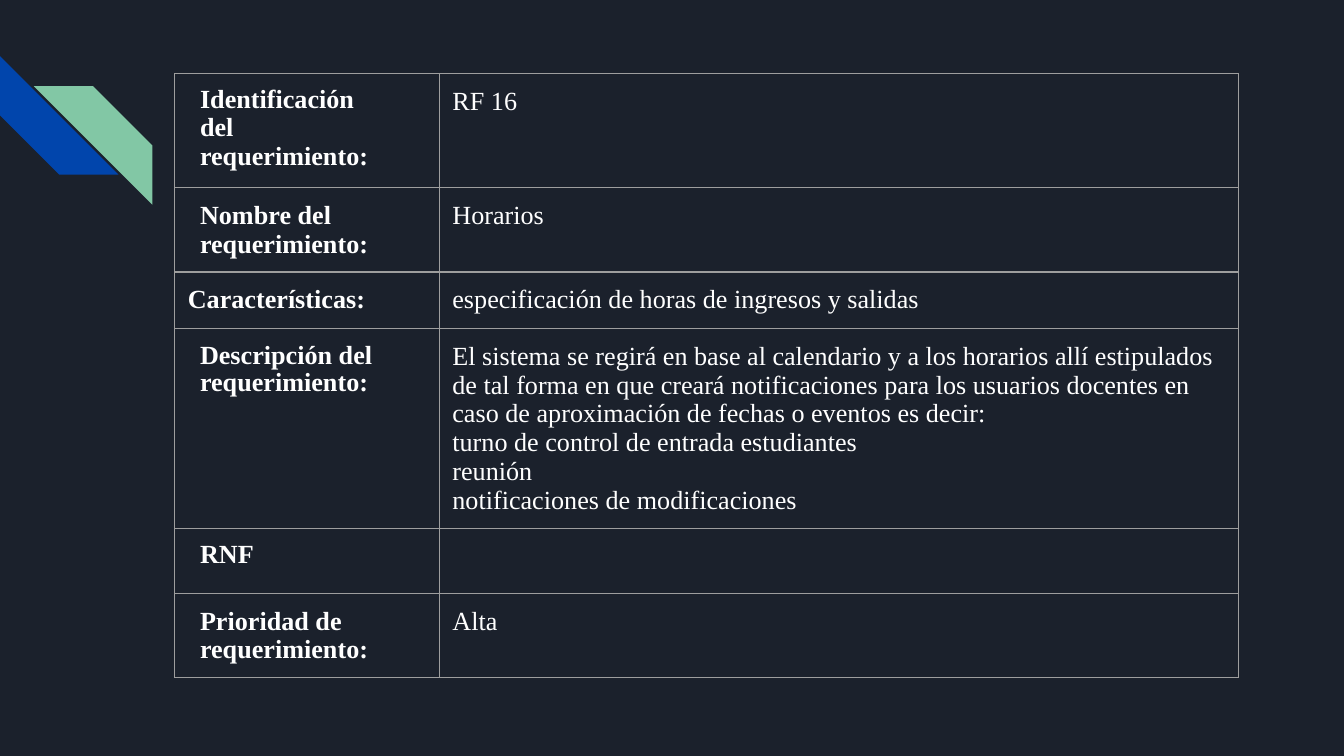
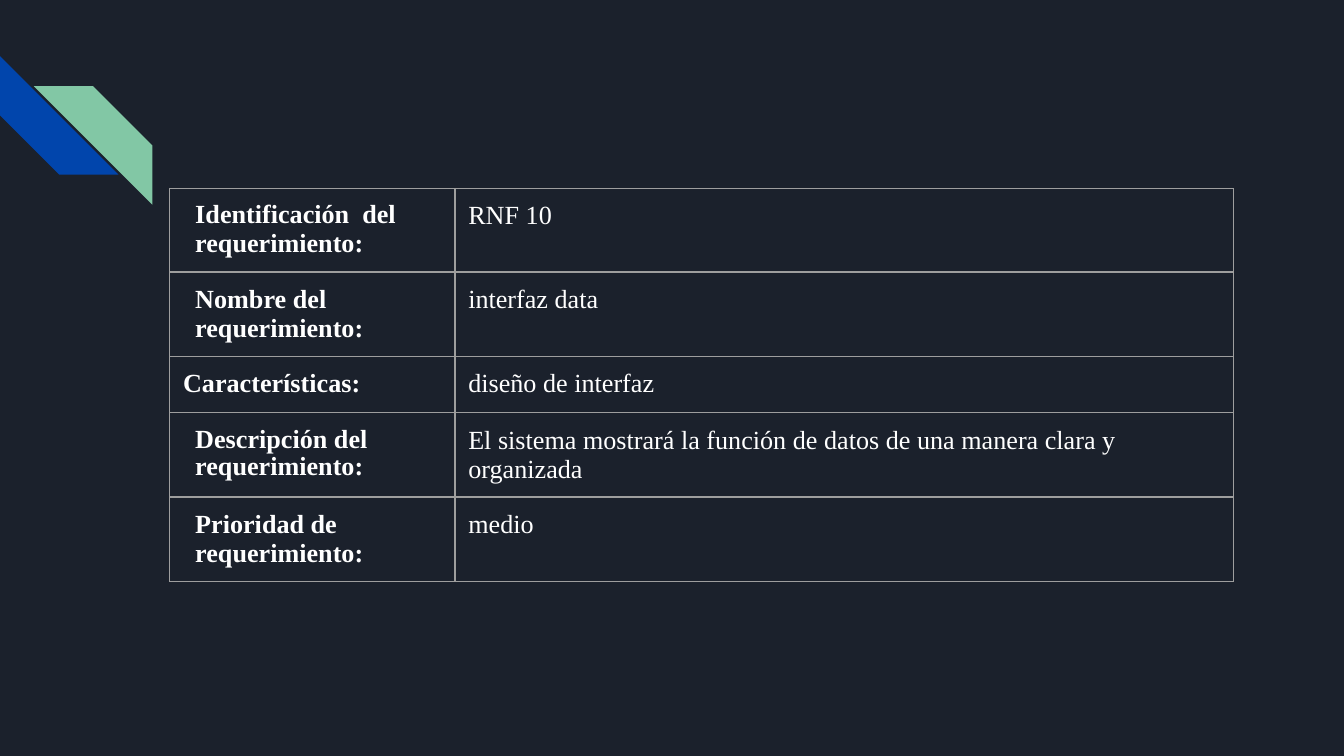
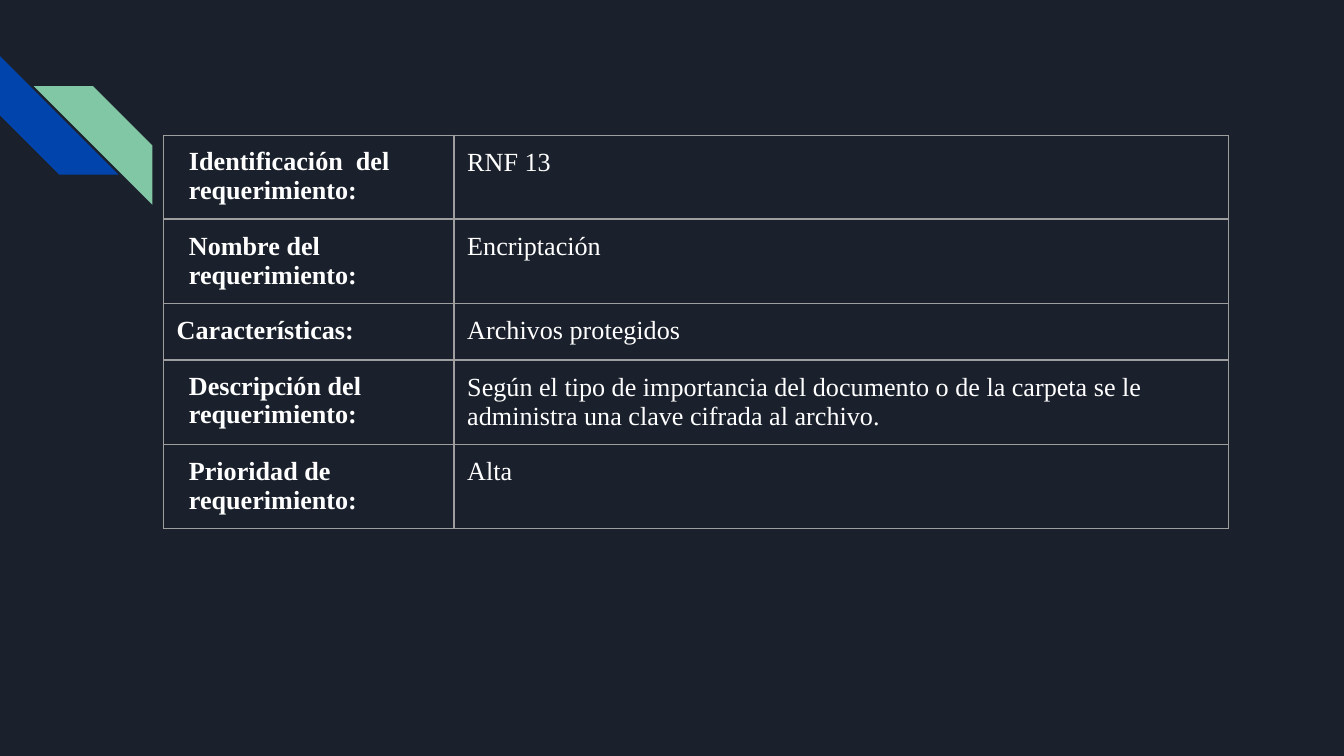
"""Build three dark slides, each with a table for one requirement."""
from lxml.etree import SubElement
from pptx import Presentation
from pptx.dml.color import RGBColor
from pptx.enum.shapes import MSO_SHAPE
from pptx.oxml.ns import qn
from pptx.util import Cm, Pt

NIGHT = RGBColor(0x1B, 0x21, 0x2C)
BLUE = RGBColor(0x01, 0x45, 0xAC)
GREEN = RGBColor(0x82, 0xC7, 0xA5)
GRAY = RGBColor(0x9E, 0x9E, 0x9E)
WHITE = RGBColor(0xFF, 0xFF, 0xFF)
FONT = "Times New Roman"
SIZE = Pt(14)
INSET = Cm(0.25)

LABELS = [
    "Identificación  del\nrequerimiento:",
    "Nombre del\nrequerimiento:",
    "Características:",
    "Descripción del requerimiento:",
    "RNF",
    "Prioridad de\nrequerimiento:",
]
FLUSH = "Características:"
TIGHT = ("Identificación  del", "Descripción del requerimiento:", "RNF")

SLIDES = [
    (3.3, 1.39, (5, 15.11), 2.16, [
        "RF 16",
        "Horarios",
        "especificación de horas de ingresos y salidas",
        "El sistema se regirá en base al calendario y a los horarios allí "
        "estipulados de tal forma en que creará notificaciones para los "
        "usuarios docentes en caso de aproximación de fechas o eventos es decir:\n"
        "turno de control de entrada estudiantes\n"
        "reunión\n"
        "notificaciones de modificaciones",
        "",
        "Alta",
    ]),
    (3.21, 3.56, (5.39, 14.71), 1.58, [
        "RNF 10",
        "interfaz data",
        "diseño de interfaz",
        "El sistema mostrará la función de datos de una manera clara y organizada",
        None,
        "medio",
    ]),
    (3.09, 2.56, (5.49, 14.63), 1.58, [
        "RNF 13",
        "Encriptación",
        "Archivos protegidos",
        "Según el tipo de importancia del documento o de la carpeta se le "
        "administra una clave cifrada al archivo.",
        None,
        "Alta",
    ]),
]


def add_stripe(shapes, left, top, color):
    stripe = shapes.add_shape(MSO_SHAPE.DIAGONAL_STRIPE, Cm(left), Cm(top), Cm(2.24), Cm(2.24))
    stripe.adjustments[0] = 0.5
    stripe.shadow.inherit = False
    stripe.fill.solid()
    stripe.fill.fore_color.rgb = color
    stripe.line.fill.background()
    return stripe


def fill_cell(cell, text, label):
    cell.margin_left = cell.margin_right = INSET
    cell.margin_top = cell.margin_bottom = INSET
    props = cell._tc.get_or_add_tcPr()
    for side in ("a:lnL", "a:lnR", "a:lnT", "a:lnB"):
        line = SubElement(props, qn(side), w=str(Pt(0.75)))
        paint = SubElement(line, qn("a:solidFill"))
        SubElement(paint, qn("a:srgbClr"), val=str(GRAY))
    cell.fill.background()
    cell.text_frame.text = text
    for para in cell.text_frame.paragraphs:
        if label and text != FLUSH:
            props = para._p.get_or_add_pPr()
            props.set("marL", str(Cm(0.23)))
            props.set("indent", "0")
            if para.text == TIGHT[0]:
                props.set("marR", str(Cm(0.69)))
            if para.text in TIGHT:
                para.line_spacing = 0.96
        for run in para.runs:
            run.font.name = FONT
            run.font.size = SIZE
            run.font.bold = label
            run.font.color.rgb = WHITE
        if not para.runs:
            SubElement(para._p, qn("a:endParaRPr"), sz="1400")


deck = Presentation()
deck.slide_width = Cm(25.4)
deck.slide_height = Cm(14.29)
back = deck.slide_master.background.fill
back.solid()
back.fore_color.rgb = NIGHT

blank = deck.slide_layouts[6]
for holder in list(blank.placeholders):
    holder.element.getparent().remove(holder.element)

for left, top, widths, first, values in SLIDES:
    slide = deck.slides.add_slide(blank)
    if len(deck.slides) == 1:
        blue = add_stripe(slide.shapes, 0, 1.06, BLUE)
        blue.rotation = 270
        green = add_stripe(slide.shapes, 0.64, 1.63, GREEN)
        green.element.spPr.xfrm.set("flipH", "1")
        for stripe in (blue, green):
            blank.shapes.element.append(stripe.element)

    pairs = [(label, value) for label, value in zip(LABELS, values) if value is not None]
    frame = slide.shapes.add_table(len(pairs), 2, Cm(left), Cm(top), Cm(sum(widths)), Cm(8.33))
    table = frame.table
    table.first_row = table.horz_banding = False
    for col, width in zip(table.columns, widths):
        col.width = Cm(width)
    for num, (label, value) in enumerate(pairs):
        table.rows[num].height = Cm(1.07 if num else first)
        if label == "RNF":
            table.rows[num].height = Cm(1.23)
        fill_cell(table.cell(num, 0), label, True)
        fill_cell(table.cell(num, 1), value, False)

deck.save("out.pptx")
